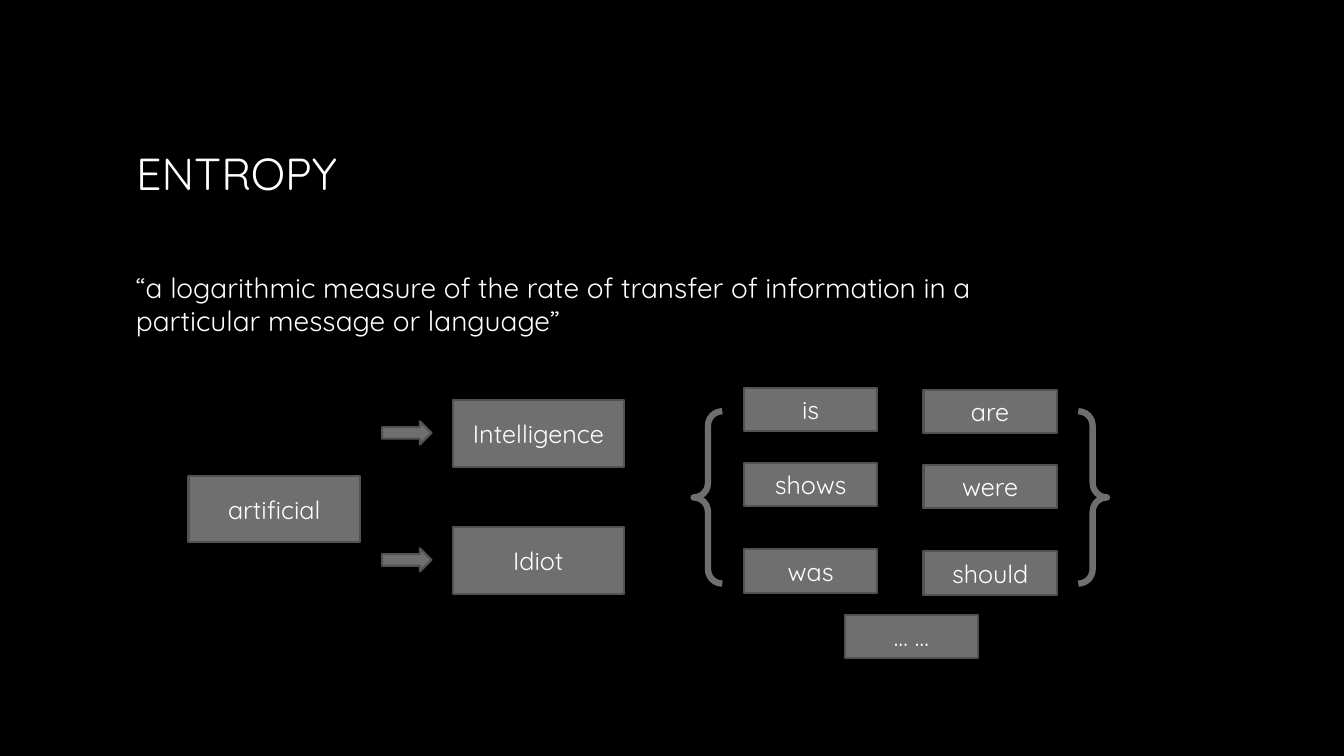
from pptx import Presentation
from pptx.dml.color import RGBColor
from pptx.enum.shapes import MSO_SHAPE
from pptx.enum.text import MSO_ANCHOR, PP_ALIGN
from pptx.util import Inches, Pt

BLACK = RGBColor(0x00, 0x00, 0x00)
WHITE = RGBColor(0xFF, 0xFF, 0xFF)
GRAY = RGBColor(0x6F, 0x6F, 0x6F)
EDGE = RGBColor(0x52, 0x52, 0x52)
FONT = "Quicksand"


def write(frame, text, size, align, anchor):
    frame.word_wrap = True
    frame.vertical_anchor = anchor
    para = frame.paragraphs[0]
    para.alignment = align
    run = para.add_run()
    run.text = text
    run.font.name = FONT
    run.font.size = Pt(size)
    run.font.color.rgb = WHITE


def add_block(kind, left, top, width, height, text=""):
    block = slide.shapes.add_shape(
        kind, Inches(left), Inches(top), Inches(width), Inches(height))
    block.shadow.inherit = False
    block.fill.solid()
    block.fill.fore_color.rgb = GRAY
    block.line.color.rgb = EDGE
    block.line.width = Pt(1.5)
    if text:
        write(block.text_frame, text, 18, PP_ALIGN.CENTER, MSO_ANCHOR.MIDDLE)


prs = Presentation()
prs.slide_width = Inches(13.33)
prs.slide_height = Inches(7.5)
slide = prs.slides.add_slide(prs.slide_layouts[5])
slide.background.fill.solid()
slide.background.fill.fore_color.rgb = BLACK

# Title
title = slide.shapes.title
title.left, title.top = Inches(1.25), Inches(0.67)
title.width, title.height = Inches(10.83), Inches(2.08)
write(title.text_frame, "ENTROPY", 32, PP_ALIGN.LEFT, MSO_ANCHOR.MIDDLE)

# Definition
quote = slide.shapes.add_textbox(
    Inches(1.25), Inches(2.63), Inches(9.18), Inches(1.11))
write(quote.text_frame,
      "“a logarithmic measure of the rate of transfer of information in a "
      "particular message or language”",
      20, PP_ALIGN.LEFT, MSO_ANCHOR.TOP)

# First word and its two possible successors
add_block(MSO_SHAPE.RECTANGLE, 1.87, 4.72, 1.7, 0.66, "artificial")
for word, top in (("Intelligence", 3.97), ("Idiot", 5.23)):
    add_block(MSO_SHAPE.RIGHT_ARROW, 3.79, top + 0.21, 0.49, 0.23)
    add_block(MSO_SHAPE.RECTANGLE, 4.49, top, 1.7, 0.66, word)

# Braces around the next words
brace = slide.shapes.add_shape(
    MSO_SHAPE.DOUBLE_BRACE, Inches(6.88), Inches(4.08), Inches(4.1), Inches(1.71))
brace.shadow.inherit = False
brace.fill.background()
brace.line.color.rgb = GRAY
brace.line.width = Pt(4.5)

# Candidate words in two columns, the right one slightly lower
columns = (
    (7.38, 3.85, ("is", "shows", "was")),
    (9.16, 3.87, ("are", "were", "should")),
)
for left, top, words in columns:
    for word, drop in zip(words, (0, 0.74, 1.6)):
        add_block(MSO_SHAPE.RECTANGLE, left, top + drop, 1.32, 0.43, word)
add_block(MSO_SHAPE.RECTANGLE, 8.38, 6.1, 1.32, 0.43, "… …")

prs.save("out.pptx")
